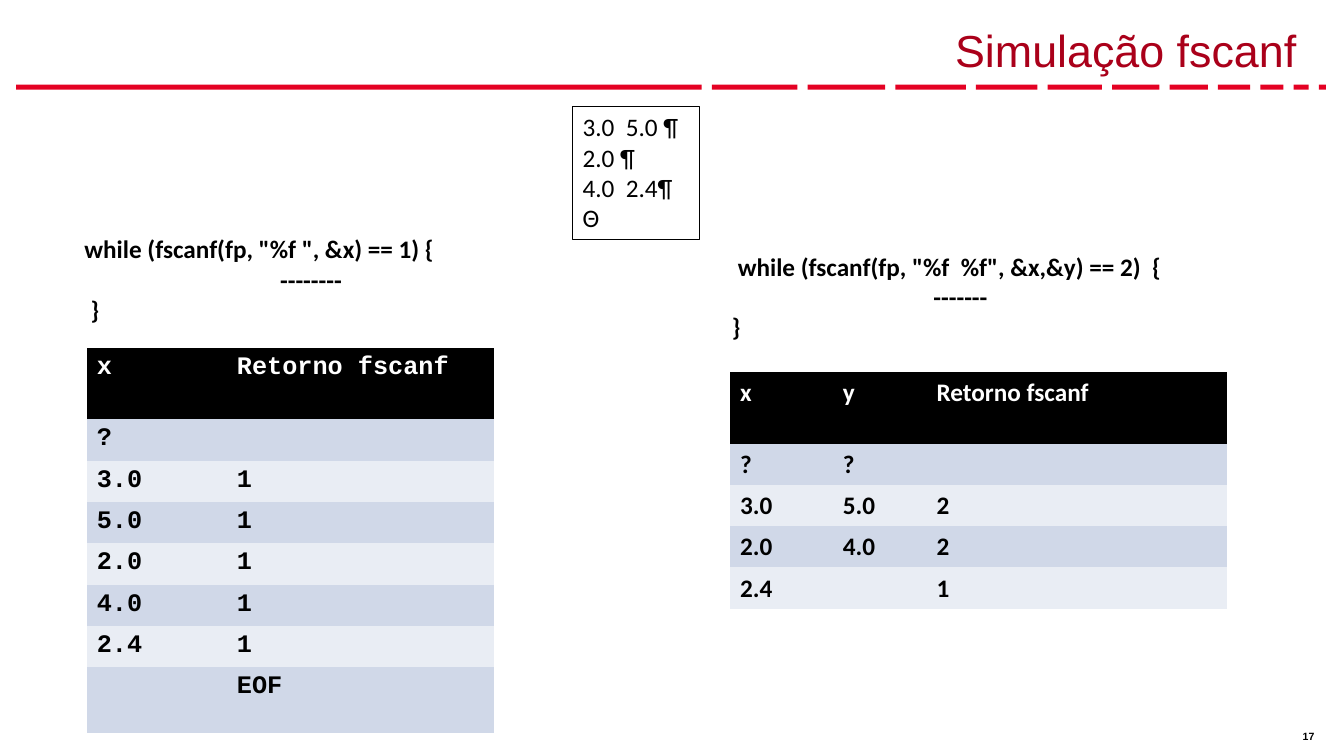
from pptx import Presentation
from pptx.dml.color import RGBColor
from pptx.enum.shapes import MSO_SHAPE as Shape
from pptx.enum.text import MSO_ANCHOR as Anchor, PP_ALIGN as Align
from pptx.oxml.ns import qn
from pptx.util import Emu, Pt

BLACK, WHITE = "000000", "FFFFFF"
RED, DARK_RED = "E40123", "AA001A"
BANDS = ("D0D8E8", "E9EDF4")
NO_STYLE_NO_GRID = "{2D5ABB26-0587-4C30-8999-92F81FD0307C}"


def px(length):
    """Turn px (100 to the inch) into EMU."""
    return Emu(length * 9144)


def color(value):
    return RGBColor.from_string(value)


class SlideBuilder:
    def __init__(self, slide, font="Calibri", size=18):
        self.shapes = slide.shapes
        self.font = font
        self.size = size

    def add_span(self, para, text, ink=BLACK, bold=False, font=None, size=None):
        span = para.add_run()
        span.text = text
        span.font.name = font or self.font
        span.font.size = Pt(size or self.size)
        span.font.bold = bold
        span.font.color.rgb = color(ink)

    def fill_frame(self, frame, lines, **style):
        """Add one paragraph per (indent, text) pair."""
        frame.word_wrap = True
        for index, (indent, text) in enumerate(lines):
            para = frame.paragraphs[0] if index == 0 else frame.add_paragraph()
            para.alignment = Align.LEFT
            if indent:
                para._p.get_or_add_pPr().set("marL", str(px(indent)))
            self.add_span(para, text, **style)

    def text(self, left, top, width, height, lines, **style):
        box = self.shapes.add_textbox(*map(px, (left, top, width, height)))
        self.fill_frame(box.text_frame, lines, **style)
        return box.text_frame

    def rectangle(self, left, top, width, height, fill=None, line=None):
        box = self.shapes.add_shape(Shape.RECTANGLE, *map(px, (left, top, width, height)))
        box.shadow.inherit = False
        if fill:
            box.fill.solid()
            box.fill.fore_color.rgb = color(fill)
        else:
            box.fill.background()
        if line:
            box.line.color.rgb = color(line)
            box.line.width = Pt(0.75)
        else:
            box.line.fill.background()
        return box

    def dashed_rule(self, left, top, height, widths, gap):
        for width in widths:
            self.rectangle(left, top, width, height, fill=RED)
            left += width + gap

    def table(self, left, top, columns, heights, rows, font=None):
        """Draw a table with a black header row and banded body rows."""
        frame = self.shapes.add_table(
            len(rows), len(columns), px(left), px(top), px(sum(columns)), px(sum(heights)))
        table = frame.table
        table._tbl.tblPr.find(qn("a:tableStyleId")).text = NO_STYLE_NO_GRID
        for column, width in zip(table.columns, columns):
            column.width = px(width)
        for index, (height, values) in enumerate(zip(heights, rows)):
            table.rows[index].height = px(height)
            fill, ink = (BANDS[(index - 1) % 2], BLACK) if index else (BLACK, WHITE)
            for cell, value in zip(table.rows[index].cells, values):
                cell.fill.solid()
                cell.fill.fore_color.rgb = color(fill)
                if value:
                    para = cell.text_frame.paragraphs[0]
                    para.line_spacing = 1.02
                    self.add_span(para, value, ink=ink, bold=True, font=font)


def main():
    deck = Presentation()
    deck.slide_width, deck.slide_height = px(1333), px(750)
    page = SlideBuilder(deck.slides.add_slide(deck.slide_layouts[6]))

    page.dashed_rule(16, 84, 5, (680, 85, 77, 70, 61, 54, 47, 38, 32, 23, 15, 7), gap=10)
    title = page.text(41, 8, 1255, 73, [(0, "Simulação fscanf")],
                      ink=DARK_RED, font="Arial", size=32)
    title.vertical_anchor = Anchor.BOTTOM
    title.paragraphs[0].alignment = Align.RIGHT

    number = page.text(1284, 720, 43, 20, [(0, "17")], bold=True, font="Arial", size=7.5)
    number.margin_left = number.margin_right = px(8)
    number.margin_top = number.margin_bottom = px(4)

    file_box = page.rectangle(568, 106, 126, 132, line=BLACK)
    file_box.text_frame.vertical_anchor = Anchor.TOP
    file_lines = ("3.0  5.0 ¶", "2.0 ¶", "4.0  2.4¶", "Θ")
    page.fill_frame(file_box.text_frame, [(0, line) for line in file_lines])

    page.text(68, 227, 500, 101, [
        (6, 'while (fscanf(fp, "%f ", &x) == 1) {'),
        (200, "--------"),
        (12, "}"),
    ], bold=True)
    page.table(86, 345, (139, 265), (71, *[41] * 6, 65), [
        ("x", "Retorno fscanf"),
        ("?", ""),
        *((value, "1") for value in ("3.0", "5.0", "2.0", "4.0", "2.4")),
        ("", "EOF"),
    ], font="Courier New")

    page.text(716, 244, 500, 101, [
        (6, 'while (fscanf(fp, "%f  %f", &x,&y) == 2)  {'),
        (200, "-------"),
        (0, "}"),
    ], bold=True)
    page.table(724, 369, (102, 93, 298), (71, *[41] * 4), [
        ("x", "y", "Retorno fscanf"),
        ("?", "?", ""),
        ("3.0", "5.0", "2"),
        ("2.0", "4.0", "2"),
        ("2.4", "", "1"),
    ])

    deck.save("out.pptx")


if __name__ == "__main__":
    main()
